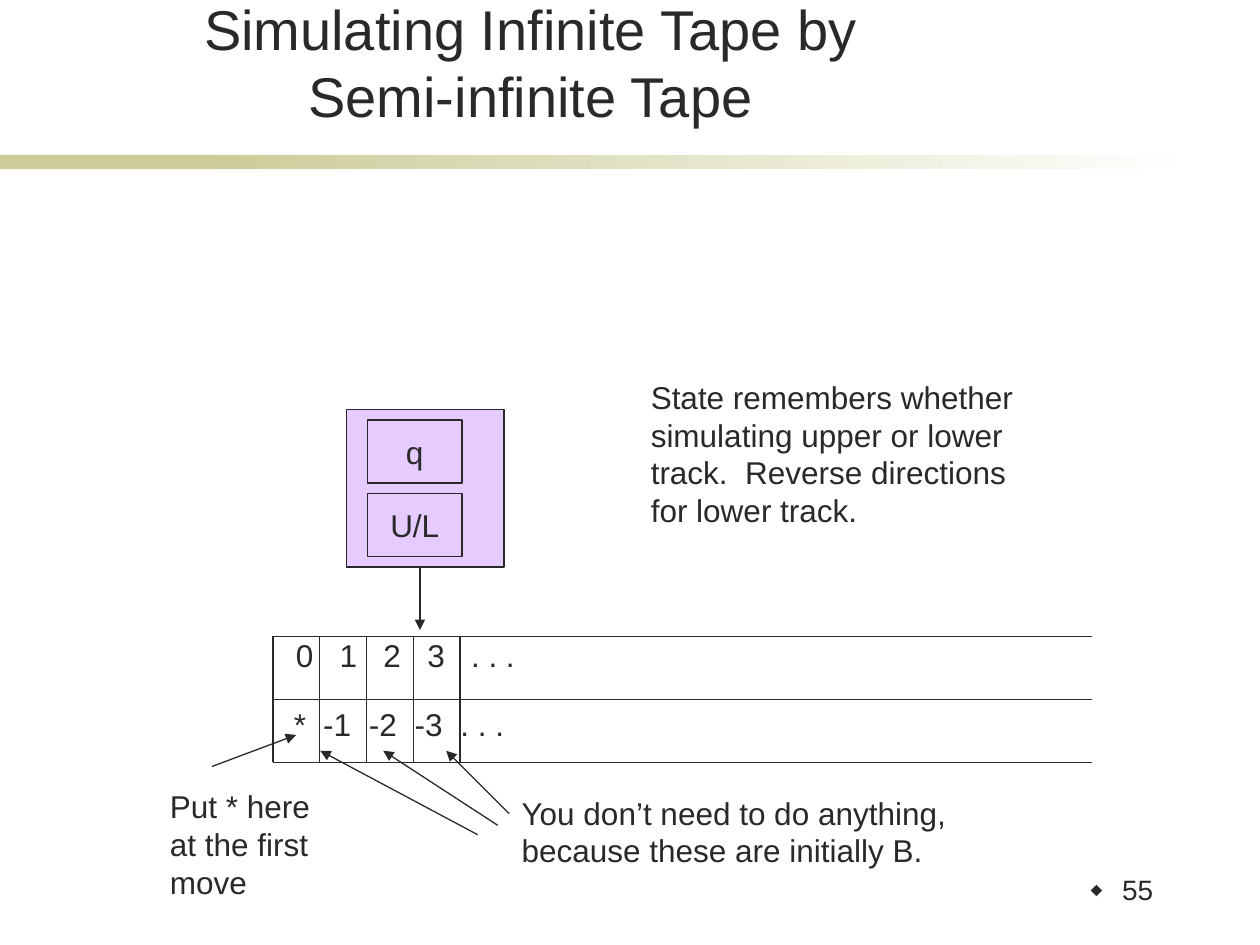
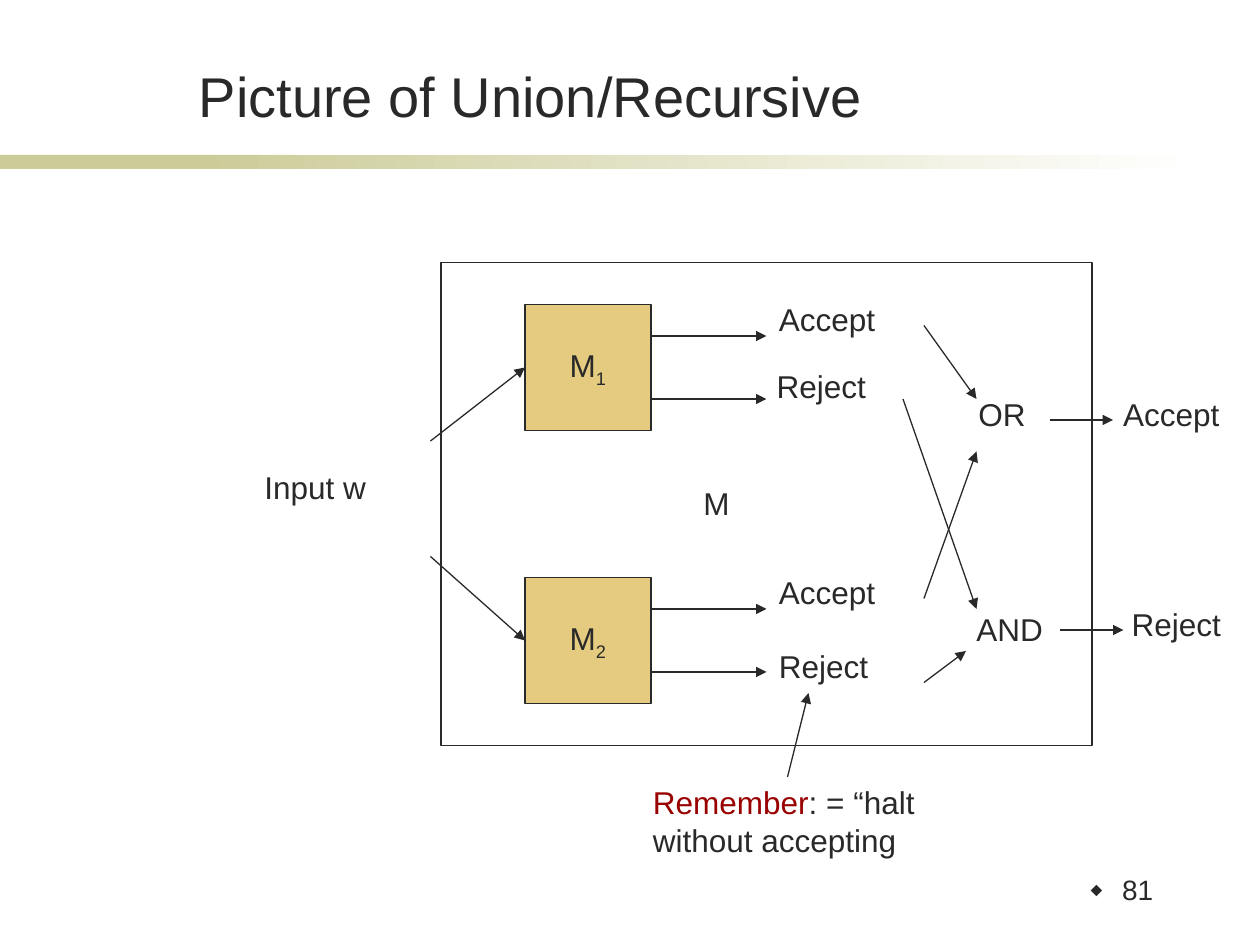
"""Two slides on Turing machines: a semi-infinite tape and the union of recursive languages."""
from lxml import etree
from pptx import Presentation
from pptx.dml.color import RGBColor
from pptx.enum.shapes import MSO_CONNECTOR, MSO_SHAPE
from pptx.enum.text import MSO_ANCHOR, MSO_AUTO_SIZE, PP_ALIGN
from pptx.oxml.ns import qn
from pptx.util import Inches, Pt

RECTANGLE = MSO_SHAPE.RECTANGLE
STRAIGHT = MSO_CONNECTOR.STRAIGHT
TOP, MIDDLE, BOTTOM = MSO_ANCHOR.TOP, MSO_ANCHOR.MIDDLE, MSO_ANCHOR.BOTTOM
LEFT, CENTER, RIGHT = PP_ALIGN.LEFT, PP_ALIGN.CENTER, PP_ALIGN.RIGHT
LEFT_SIDE = 1

COLORS = {"ink": "292929", "band": "CCCC99", "paper": "FFFFFF",
          "state": "CC99FF", "machine": "CC9900", "alert": "990000"}
RGB = {name: RGBColor.from_string(value) for name, value in COLORS.items()}
TITLE_FONT = {"name": "Arial", "size": Pt(32)}
BODY_FONT = {"name": "Arial", "size": Pt(18)}
NUMBER_FONT = {"name": "Arial", "size": Pt(16)}

deck = Presentation()
deck.slide_width, deck.slide_height = Inches(10), Inches(7.5)
COLUMN, ROW = deck.slide_width / 120, deck.slide_height / 90
layout = deck.slide_layouts[5]


def add_box(slide, cells, lines=(), fill=None, outlined=False, tabs=(), font=BODY_FONT):
    """Place text lines on the grid, framed or plain; a run is (text, color, baseline)."""
    left, top, width, height = cells
    place = [int(left * COLUMN), int(top * ROW), int(width * COLUMN), int(height * ROW)]
    if outlined:
        box = slide.shapes.add_shape(RECTANGLE, *place)
        box.shadow.inherit = False
        box.line.color.rgb, box.line.width = RGB["ink"], Pt(0.75)
        if fill:
            box.fill.solid()
            box.fill.fore_color.rgb = RGB[fill]
            tint = box.element.spPr.find(qn("a:solidFill"))[0]
            etree.SubElement(tint, qn("a:alpha"), val="50000")
        else:
            box.fill.background()
    else:
        box = slide.shapes.add_textbox(*place)
    frame = box.text_frame
    frame.word_wrap = True
    frame.vertical_anchor = MIDDLE if outlined else TOP
    for index, runs in enumerate(lines):
        paragraph = frame.add_paragraph() if index else frame.paragraphs[0]
        paragraph.alignment = CENTER if outlined else LEFT
        if tabs:
            stops = etree.SubElement(paragraph._p.get_or_add_pPr(), qn("a:tabLst"))
            for stop in tabs:
                etree.SubElement(stops, qn("a:tab"), pos=str(int(stop * COLUMN)), algn="l")
        for text, color, baseline in [(runs, "ink", 0)] if isinstance(runs, str) else runs:
            run = paragraph.add_run()
            run.text = text
            for key, value in font.items():
                setattr(run.font, key, value)
            run.font.color.rgb = RGB[color]
            if baseline:
                run._r.get_or_add_rPr().set("baseline", str(baseline))
    return box


def add_line(slide, x1, y1, x2, y2, arrow=True):
    """Draw a thin straight line between two grid points."""
    line = slide.shapes.add_connector(STRAIGHT, int(x1 * COLUMN), int(y1 * ROW),
                                      int(x2 * COLUMN), int(y2 * ROW))
    line.line.color.rgb, line.line.width = RGB["ink"], Pt(0.75)
    if arrow:
        etree.SubElement(line.line._get_or_add_ln(), qn("a:tailEnd"), type="triangle")
    etree.SubElement(line.element.spPr, qn("a:effectLst"))
    return line


pages = []
for heading, number in [("Simulating Infinite Tape by Semi-infinite Tape", "55"),
                        ("Picture of Union/Recursive", "81")]:
    slide = deck.slides.add_slide(layout)
    pages.append(slide)
    title = slide.shapes.title
    title.left, title.top = int(13.7 * COLUMN), int(5.3 * ROW)
    title.width, title.height = int(73.7 * COLUMN), int(7.55 * ROW)
    title.text_frame.text = heading
    title.text_frame.auto_size = MSO_AUTO_SIZE.NONE
    title.text_frame.vertical_anchor = BOTTOM
    title_line = title.text_frame.paragraphs[0]
    title_line.alignment = CENTER
    for key, value in TITLE_FONT.items():
        setattr(title_line.font, key, value)
    title_line.font.color.rgb = RGB["ink"]

    page_number = add_box(slide, (98.8, 82.9, 12.2, 6), [number], font=NUMBER_FONT)
    number_line = page_number.text_frame.paragraphs[0]
    number_line.alignment, number_line.line_spacing = RIGHT, 0.9
    bullet = number_line._p.get_or_add_pPr()
    bullet.set("marL", str(int(3 * COLUMN)))
    bullet.set("indent", str(int(-3 * COLUMN)))
    bullet_color = etree.SubElement(bullet, qn("a:buClr"))
    etree.SubElement(bullet_color, qn("a:srgbClr"), val=COLORS["ink"])
    etree.SubElement(bullet, qn("a:buSzPct"), val="60000")
    etree.SubElement(bullet, qn("a:buFont"), typeface="Arial")
    etree.SubElement(bullet, qn("a:buChar"), char="⬥")

tape, union = pages

for left, width, fades in [(0, 28, False), (19, 95, True)]:
    band = tape.shapes.add_shape(RECTANGLE, int(left * COLUMN), int(14.75 * ROW),
                                 int(width * COLUMN), int(1.35 * ROW))
    band.shadow.inherit = False
    band.line.fill.background()
    if fades:
        band.fill.gradient()
        band.fill.gradient_angle = 0
        for stop, color, position in zip(band.fill.gradient_stops, ("band", "paper"), (0, 1)):
            stop.color.rgb, stop.position = RGB[color], position
    else:
        band.fill.solid()
        band.fill.fore_color.rgb = RGB["band"]
    layout.shapes.element.append(band.element)

TAPE_LEFT, TAPE_RIGHT, TAPE_TOP, TRACK, SQUARE = 26, 104, 60.6, 6, 4.45
for edge in range(3):
    level = TAPE_TOP + edge * TRACK
    add_line(tape, TAPE_LEFT, level, TAPE_RIGHT, level, arrow=False)
for edge in range(5):
    side = TAPE_LEFT + edge * SQUARE
    add_line(tape, side, TAPE_TOP, side, TAPE_TOP + 2 * TRACK, arrow=False)
add_box(tape, (27, 60, 32.3, 6), ["0\t1\t2\t3\t. . ."], tabs=[4.17 * i for i in range(1, 5)])
add_box(tape, (26.8, 66.6, 32.9, 6), ["*\t-1\t-2\t-3\t. . ."],
        tabs=[2.8 + 4.36 * i for i in range(4)])

add_box(tape, (33, 39, 15, 15), fill="state", outlined=True)
for index, register in enumerate(["q", "U/L"]):
    add_box(tape, (35, 40 + 7 * index, 9, 6), [register], outlined=True)
add_line(tape, 40, 54, 40, 60)

add_box(tape, (60.8, 35.4, 48.4, 20.4),
        ["State remembers whether", "simulating upper or lower",
         "track.  Reverse directions", "for lower track."])
add_box(tape, (15, 74.4, 20.8, 15.6), ["Put * here", "at the first", "move"])
add_line(tape, 20.2, 73, 28.2, 70)
add_box(tape, (48.5, 75, 57.1, 10.8),
        ["You don’t need to do anything,", "because these are initially B."])
for index, (x, y) in enumerate([(45.5, 79.5), (47.4, 78.6), (48.5, 77.5)]):
    add_line(tape, x, y, 30.5 + 6 * index, 71.5)

add_box(union, (42, 25, 62, 46), outlined=True)
for subscript, top, input_row in [("1", 29, 42), ("2", 55, 53)]:
    machine = add_box(union, (50, top, 12, 12), [[("M", "ink", 0), (subscript, "ink", -25000)]],
                      fill="machine", outlined=True)
    feed = add_line(union, 41, input_row, 50, top + 6)
    feed.end_connect(machine, LEFT_SIDE)
    for outcome_row in (top + 3, top + 9):
        add_line(union, 62, outcome_row, 73, outcome_row)

for label, left, top, width in [
        ("Input w", 24, 44, 16.2), ("M", 65.8, 45.5, 5.5),
        ("Accept", 73, 28, 14.2), ("Reject", 72.8, 34.4, 13.4),
        ("Accept", 73, 54, 14.2), ("Reject", 73, 61, 13.4),
        ("OR", 92, 37, 7.7), ("AND", 91.8, 57.5, 10.2),
        ("Accept", 105.8, 37, 14.2), ("Reject", 106.6, 57, 13.4)]:
    add_box(union, (left, top, width, 6), [label])

for route in [(88, 31, 93, 38), (88, 57, 93, 43), (86, 38, 93, 58), (88, 65, 92, 62),
              (100, 40, 106, 40), (101, 60, 107, 60), (75, 74, 77, 66)]:
    add_line(union, *route)
add_box(union, (61, 74, 36.6, 10.8),
        [[("Remember", "alert", 0), (": = “halt", "ink", 0)], "without accepting"])

deck.save("out.pptx")
